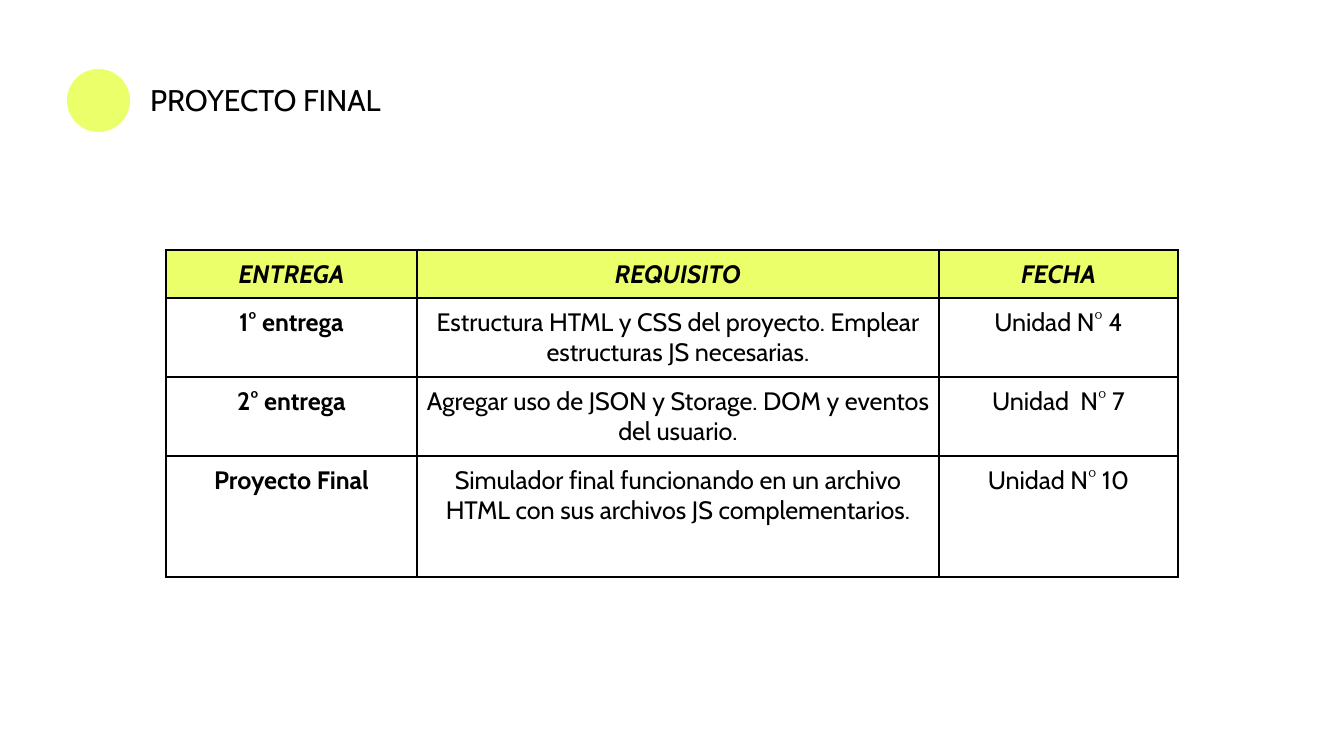
import lxml.etree
import pptx
import pptx.dml.color
import pptx.enum.shapes
import pptx.enum.text
import pptx.oxml.ns
import pptx.util

EMU_PER_PX = 914400 / 134.4

BLACK = pptx.dml.color.RGBColor(0x00, 0x00, 0x00)
LIME = pptx.dml.color.RGBColor(0xEA, 0xFF, 0x6A)

COLUMN_WIDTHS = [251, 522, 239]
ROW_HEIGHTS = [48, 79, 79, 121]
DELIVERIES = [
    ["ENTREGA", "REQUISITO", "FECHA"],
    ["1° entrega",
     "Estructura HTML y CSS del proyecto. Emplear estructuras JS necesarias.",
     "Unidad N° 4"],
    ["2° entrega",
     "Agregar uso de JSON y Storage. DOM y eventos del usuario.",
     "Unidad  N° 7"],
    ["Proyecto Final",
     "Simulador final funcionando en un archivo HTML con sus archivos JS complementarios.",
     "Unidad N° 10"],
]


def px(length):
    return pptx.util.Emu(round(length * EMU_PER_PX))


class SlideBuilder:
    font_name = "Cabin"
    border_width = pptx.util.Pt(1)

    def __init__(self, slide):
        self.slide = slide

    def style_text(self, text_frame, size, inset, bold=False, italic=False):
        text_frame.word_wrap = True
        for run in text_frame.paragraphs[0].runs:
            run.font.name = self.font_name
            run.font.size = pptx.util.Pt(size)
            run.font.color.rgb = BLACK
            run.font.bold = bold
            run.font.italic = italic
        return px(inset)

    def circle(self, left, top, diameter, color):
        shape = self.slide.shapes.add_shape(
            pptx.enum.shapes.MSO_SHAPE.OVAL,
            px(left), px(top), px(diameter), px(diameter))
        shape.shadow.inherit = False
        shape.fill.solid()
        shape.fill.fore_color.rgb = color
        shape.line.fill.background()

    def title(self, text, left, top, width, height):
        shape = self.slide.shapes.add_textbox(px(left), px(top), px(width), px(height))
        text_frame = shape.text_frame
        text_frame.text = text
        inset = self.style_text(text_frame, 16, 13)
        text_frame.margin_left = text_frame.margin_right = inset
        text_frame.margin_top = text_frame.margin_bottom = inset

    def table(self, rows, left, top, column_widths, row_heights):
        table = self.slide.shapes.add_table(
            len(rows), len(column_widths), px(left), px(top),
            px(sum(column_widths)), px(sum(row_heights))).table
        table.first_row = table.horz_banding = False
        for column, width in zip(table.columns, column_widths):
            column.width = px(width)
        for row, height in zip(table.rows, row_heights):
            row.height = px(height)
        for row_index, texts in enumerate(rows):
            for column_index, text in enumerate(texts):
                is_header = row_index == 0
                self.cell(table.cell(row_index, column_index), text,
                          is_header, is_header or column_index == 0)

    def cell(self, cell, text, is_header, bold):
        cell.text_frame.text = text
        cell.text_frame.paragraphs[0].alignment = pptx.enum.text.PP_ALIGN.CENTER
        inset = self.style_text(cell.text_frame, 13.5, 9, bold, is_header)
        cell.margin_left = cell.margin_right = inset
        cell.margin_top = cell.margin_bottom = inset
        if is_header:
            cell.fill.solid()
            cell.fill.fore_color.rgb = LIME
        else:
            cell.fill.background()
        self.cell_borders(cell)

    def cell_borders(self, cell):
        """Borders must stand before the fill in the cell properties."""
        qn = pptx.oxml.ns.qn
        properties = cell._tc.get_or_add_tcPr()
        for position, side in enumerate(("a:lnL", "a:lnR", "a:lnT", "a:lnB")):
            line = lxml.etree.Element(qn(side), w=str(self.border_width))
            fill = lxml.etree.SubElement(line, qn("a:solidFill"))
            lxml.etree.SubElement(fill, qn("a:srgbClr"), val=str(BLACK))
            properties.insert(position, line)


def main():
    presentation = pptx.Presentation()
    presentation.slide_width = px(1344)
    presentation.slide_height = px(756)
    slide = presentation.slides.add_slide(presentation.slide_layouts[6])
    builder = SlideBuilder(slide)
    builder.title("PROYECTO FINAL", 137, 69, 362, 63)
    builder.circle(67, 69, 63, LIME)
    builder.table(DELIVERIES, 166, 250, COLUMN_WIDTHS, ROW_HEIGHTS)
    presentation.save("out.pptx")


if __name__ == "__main__":
    main()
